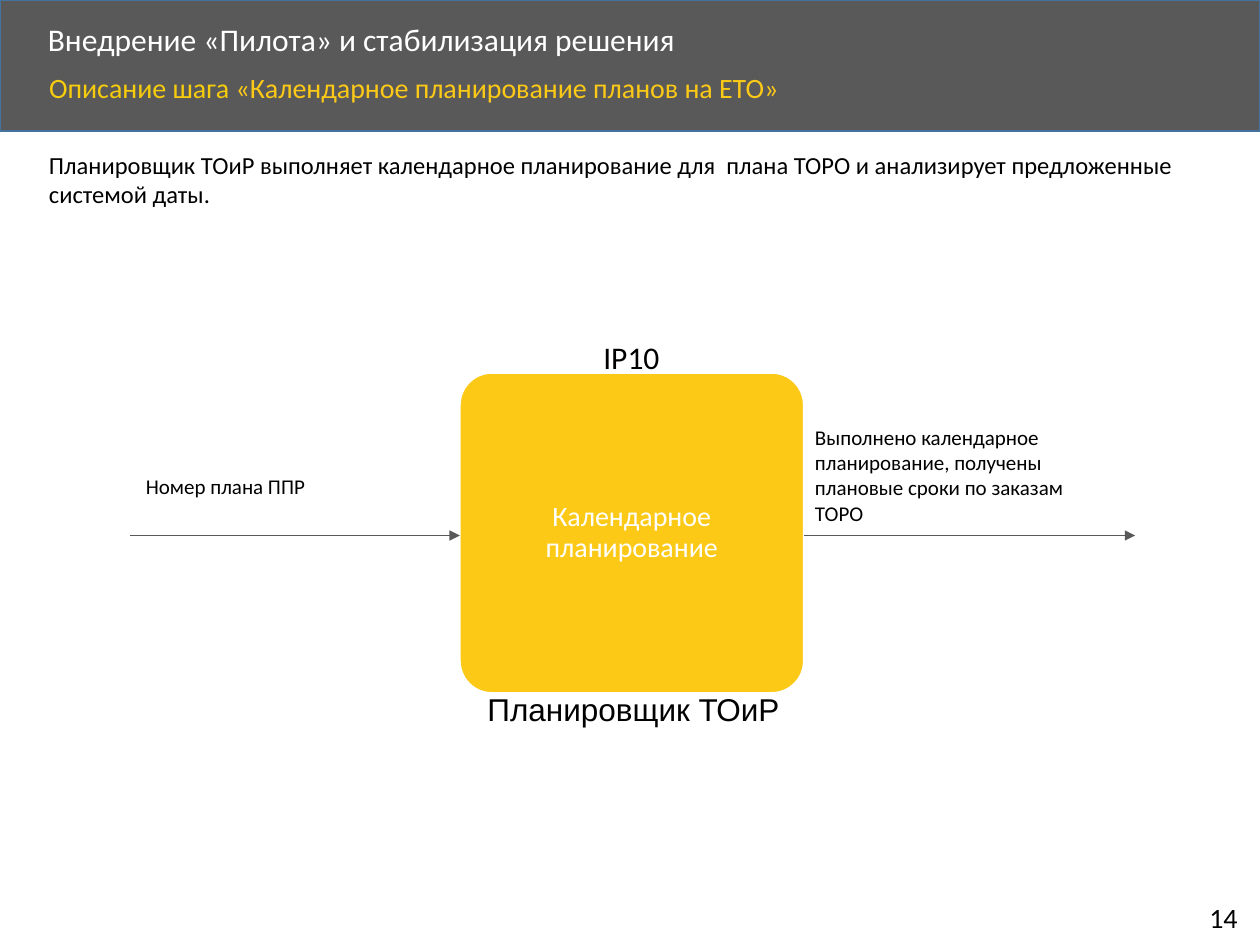
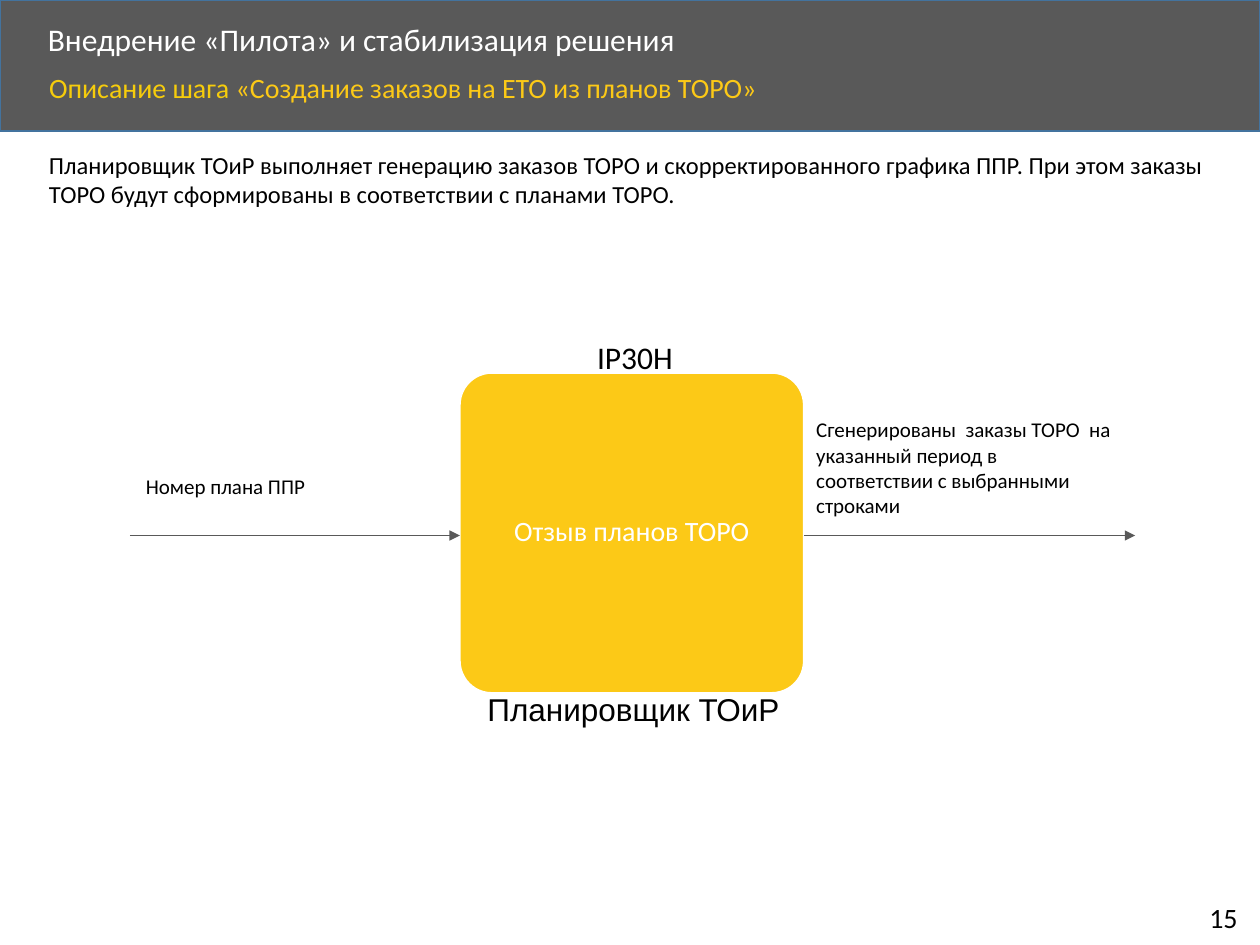
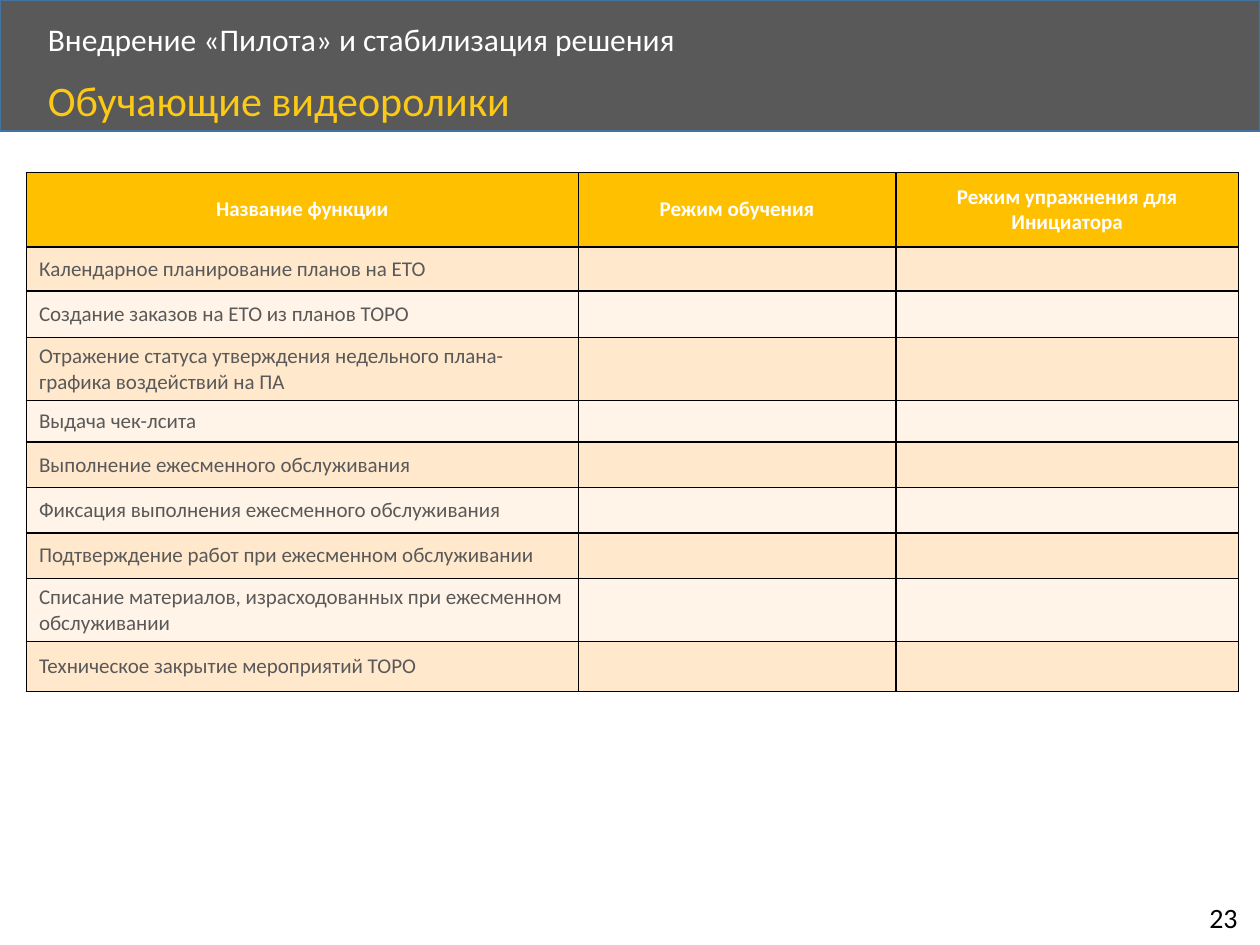
from lxml import etree
from pptx import Presentation
from pptx.dml.color import RGBColor
from pptx.enum import shapes, text
from pptx.oxml import ns
from pptx.util import Inches, Pt

COLORS = {
    "band": "595959", "band_line": "43739E", "white": "FFFFFF", "black": "000000",
    "lead": "F6CC0C", "accent": "FCC917", "arrow": "595959", "table_text": "595959",
    "header": "FFC000", "odd_row": "FFE8CC", "even_row": "FFF4E7",
}
TITLE = "Внедрение «Пилота» и стабилизация решения"
INPUT = "Номер плана ППР"
ROLE = "Планировщик ТОиР"
STEPS = [
    {
        "number": "14",
        "name": "«Календарное планирование планов на ЕТО»",
        "summary": "Планировщик ТОиР выполняет календарное планирование для  плана ТОРО "
                   "и анализирует предложенные системой даты.",
        "code": "IP10",
        "code_box": (4.69, 2.63, 0.65, 0.4),
        "action": "Календарное планирование",
        "result": "Выполнено календарное планирование, получены плановые сроки по заказам ТОРО",
        "result_box": (6.37, 3.32, 2.57, 0.91),
    },
    {
        "number": "15",
        "name": "«Создание заказов на ЕТО из планов ТОРО»",
        "summary": "Планировщик ТОиР выполняет генерацию заказов ТОРО и скорректированного "
                   "графика ППР. При этом заказы ТОРО будут сформированы в соответствии "
                   "с планами ТОРО.",
        "code": "IP30H",
        "code_box": (4.64, 2.63, 0.81, 0.4),
        "action": "Отзыв планов ТОРО",
        "result": "Сгенерированы  заказы ТОРО  на указанный период в соответствии "
                  "с выбранными строками",
        "result_box": (6.38, 3.26, 2.57, 0.91),
    },
]
VIDEOS_NUMBER = "23"
VIDEOS_SUBTITLE = "Обучающие видеоролики"
VIDEO_HEADERS = ["Название функции", "Режим обучения", "Режим упражнения для Инициатора"]
VIDEO_COLUMNS = [4.38, 2.52, 2.72]
HEADER_HEIGHT = 0.59
VIDEOS = [
    ("Календарное планирование планов на ЕТО", 0.35),
    ("Создание заказов на ЕТО из планов ТОРО", 0.37),
    ("Отражение статуса утверждения недельного плана-графика воздействий на ПА", 0.35),
    ("Выдача чек-лсита", 0.33),
    ("Выполнение ежесменного обслуживания", 0.36),
    ("Фиксация выполнения ежесменного обслуживания", 0.36),
    ("Подтверждение работ при ежесменном обслуживании", 0.36),
    ("Списание материалов, израсходованных при ежесменном обслуживании", 0.4),
    ("Техническое закрытие мероприятий ТОРО", 0.4),
]
STEP_BOX = (3.65, 2.96, 2.73, 2.54)
ARROW_Y = 4.25
ARROWS = [(1.03, 3.65), (6.38, 9.01)]


def color(name):
    return RGBColor.from_string(COLORS[name])


def add_run(paragraph, words, size, color_name, font="Calibri", bold=False):
    run = paragraph.add_run()
    run.text = words
    run.font.name = font
    run.font.size = Pt(size)
    run.font.bold = bold
    run.font.color.rgb = color(color_name)


def place(shape, box):
    shape.left, shape.top, shape.width, shape.height = map(Inches, box)


def add_label(slide, box, words, size, font="Calibri", wrap=True):
    label = slide.shapes.add_textbox(*map(Inches, box))
    label.text_frame.word_wrap = wrap
    label.text_frame.auto_size = text.MSO_AUTO_SIZE.SHAPE_TO_FIT_TEXT
    add_run(label.text_frame.paragraphs[0], words, size, "black", font)


def add_block(slide, kind, box, fill, line):
    block = slide.shapes.add_shape(kind, *map(Inches, box))
    block.shadow.inherit = False
    block.fill.solid()
    block.fill.fore_color.rgb = color(fill)
    block.line.color.rgb = color(line)
    block.line.width = Pt(1)
    return block


def fill_placeholder(placeholder, box, runs, size, anchor):
    place(placeholder, box)
    frame = placeholder.text_frame
    frame.word_wrap = True
    frame.auto_size = text.MSO_AUTO_SIZE.NONE
    frame.vertical_anchor = anchor
    paragraph = frame.paragraphs[0]
    paragraph.alignment = text.PP_ALIGN.LEFT
    paragraph.line_spacing = 0.9
    paragraph.space_before = Pt(0)
    properties = paragraph._p.get_or_add_pPr()
    properties.set("marL", "0")
    properties.set("indent", "0")
    etree.SubElement(properties, ns.qn("a:buNone"))
    for words, color_name in runs:
        add_run(paragraph, words, size, color_name)


def add_slide(presentation, number, subtitle_box, subtitle_runs, subtitle_size):
    slide = presentation.slides.add_slide(presentation.slide_layouts[1])
    band = add_block(slide, shapes.MSO_SHAPE.RECTANGLE, (0, 0, 10, 1.04), "band", "band_line")
    band.element.getparent().insert(2, band.element)
    fill_placeholder(slide.shapes.title, (0.28, 0.14, 8.07, 0.38), [(TITLE, "white")],
                     18, text.MSO_ANCHOR.MIDDLE)
    fill_placeholder(slide.placeholders[1], subtitle_box, subtitle_runs,
                     subtitle_size, text.MSO_ANCHOR.TOP)
    add_label(slide, (9.5, 7.1, 0.46, 0.37), number, 16, wrap=False)
    return slide


def add_arrow(slide, start, end):
    arrow = slide.shapes.add_connector(
        shapes.MSO_CONNECTOR.STRAIGHT,
        Inches(start), Inches(ARROW_Y), Inches(end), Inches(ARROW_Y))
    arrow.line.color.rgb = color("arrow")
    arrow.line.width = Pt(0.5)
    etree.SubElement(arrow.line._get_or_add_ln(), ns.qn("a:tailEnd"), type="triangle")
    etree.SubElement(arrow.element.spPr, ns.qn("a:effectLst"))


def add_step_slide(presentation, step):
    slide = add_slide(presentation, step["number"], (0.29, 0.54, 8.65, 0.45),
                      [("Описание шага ", "lead"), (step["name"], "accent")], 16)
    block = add_block(slide, shapes.MSO_SHAPE.ROUNDED_RECTANGLE, STEP_BOX, "accent", "white")
    block.adjustments[0] = 0.1
    frame = block.text_frame
    frame.word_wrap = True
    frame.vertical_anchor = text.MSO_ANCHOR.MIDDLE
    frame.margin_left = frame.margin_right = frame.margin_top = frame.margin_bottom = Inches(0.01)
    paragraph = frame.paragraphs[0]
    paragraph.alignment = text.PP_ALIGN.CENTER
    paragraph.line_spacing = 0.9
    add_run(paragraph, step["action"], 16, "white")
    for start, end in ARROWS:
        add_arrow(slide, start, end)
    add_label(slide, step["code_box"], step["code"], 18, wrap=False)
    add_label(slide, (3.77, 5.43, 2.55, 0.4), ROLE, 18, font="Arial")
    add_label(slide, step["result_box"], step["result"], 12)
    add_label(slide, (0.29, 1.14, 9.46, 0.57), step["summary"], 14)
    add_label(slide, (1.06, 3.71, 2.56, 0.3), INPUT, 12)


def format_cell(cell, words, fill, text_color, header):
    properties = cell._tc.get_or_add_tcPr()
    for side in ("a:lnL", "a:lnR", "a:lnT", "a:lnB"):
        border = etree.SubElement(properties, ns.qn(side), w=str(Pt(1)))
        solid = etree.SubElement(border, ns.qn("a:solidFill"))
        etree.SubElement(solid, ns.qn("a:srgbClr"), val=COLORS["black"])
    cell.fill.solid()
    cell.fill.fore_color.rgb = color(fill)
    cell.vertical_anchor = text.MSO_ANCHOR.MIDDLE
    paragraph = cell.text_frame.paragraphs[0]
    if header:
        paragraph.alignment = text.PP_ALIGN.CENTER
    if words:
        add_run(paragraph, words, 12, text_color, bold=header)
    else:
        etree.SubElement(paragraph._p, ns.qn("a:endParaRPr"), sz="1200")


def add_videos_slide(presentation):
    slide = add_slide(presentation, VIDEOS_NUMBER, (0.28, 0.59, 8.67, 0.45),
                      [(VIDEOS_SUBTITLE, "accent")], 24)
    rows = [(VIDEO_HEADERS, HEADER_HEIGHT)] + [([name, "", ""], height) for name, height in VIDEOS]
    heights = [height for _, height in rows]
    table = slide.shapes.add_table(
        len(rows), len(VIDEO_COLUMNS), Inches(0.21), Inches(1.37),
        Inches(sum(VIDEO_COLUMNS)), Inches(sum(heights))).table
    for column, width in zip(table.columns, VIDEO_COLUMNS):
        column.width = Inches(width)
    for index, (words, height) in enumerate(rows):
        table.rows[index].height = Inches(height)
        header = index == 0
        fill = "header" if header else "odd_row" if index % 2 else "even_row"
        for cell, content in zip(table.rows[index].cells, words):
            format_cell(cell, content, fill, "white" if header else "table_text", header)


def main():
    presentation = Presentation()
    presentation.slide_width = Inches(10)
    presentation.slide_height = Inches(7.5)
    for step in STEPS:
        add_step_slide(presentation, step)
    add_videos_slide(presentation)
    presentation.save("out.pptx")


if __name__ == "__main__":
    main()
